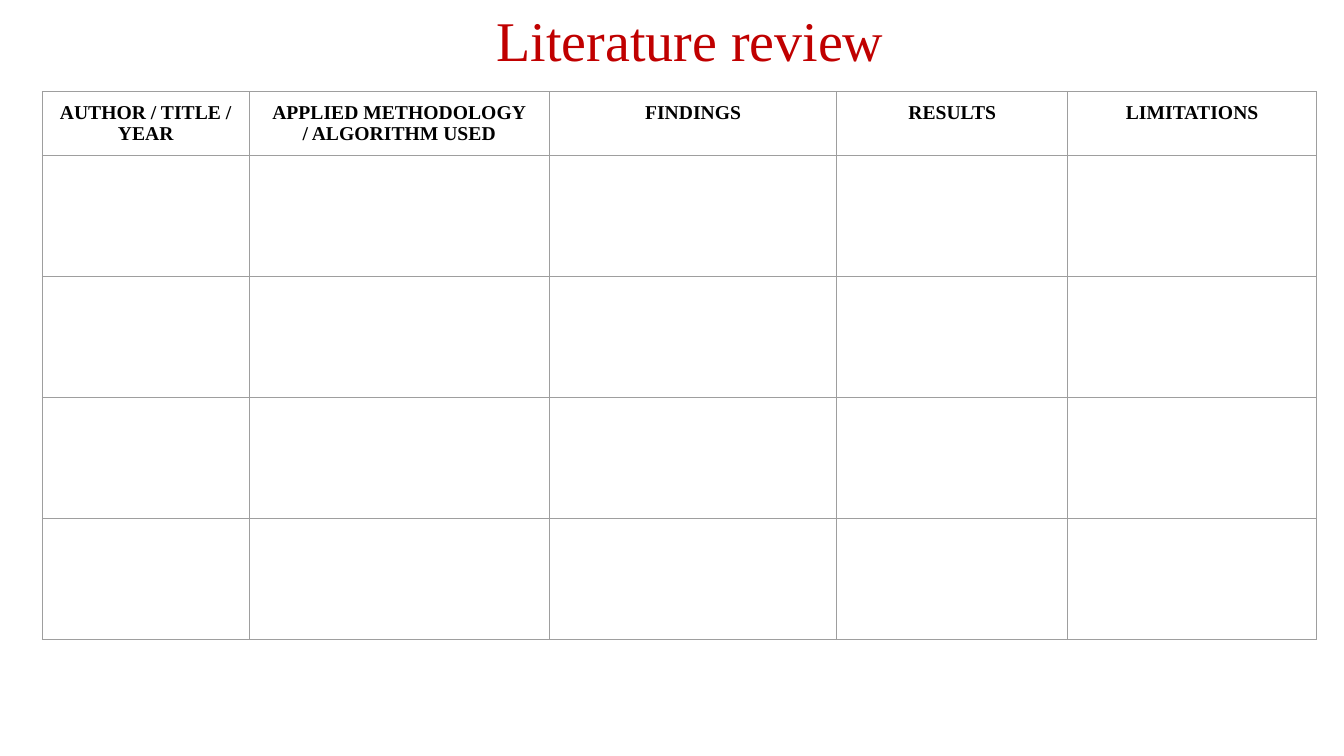
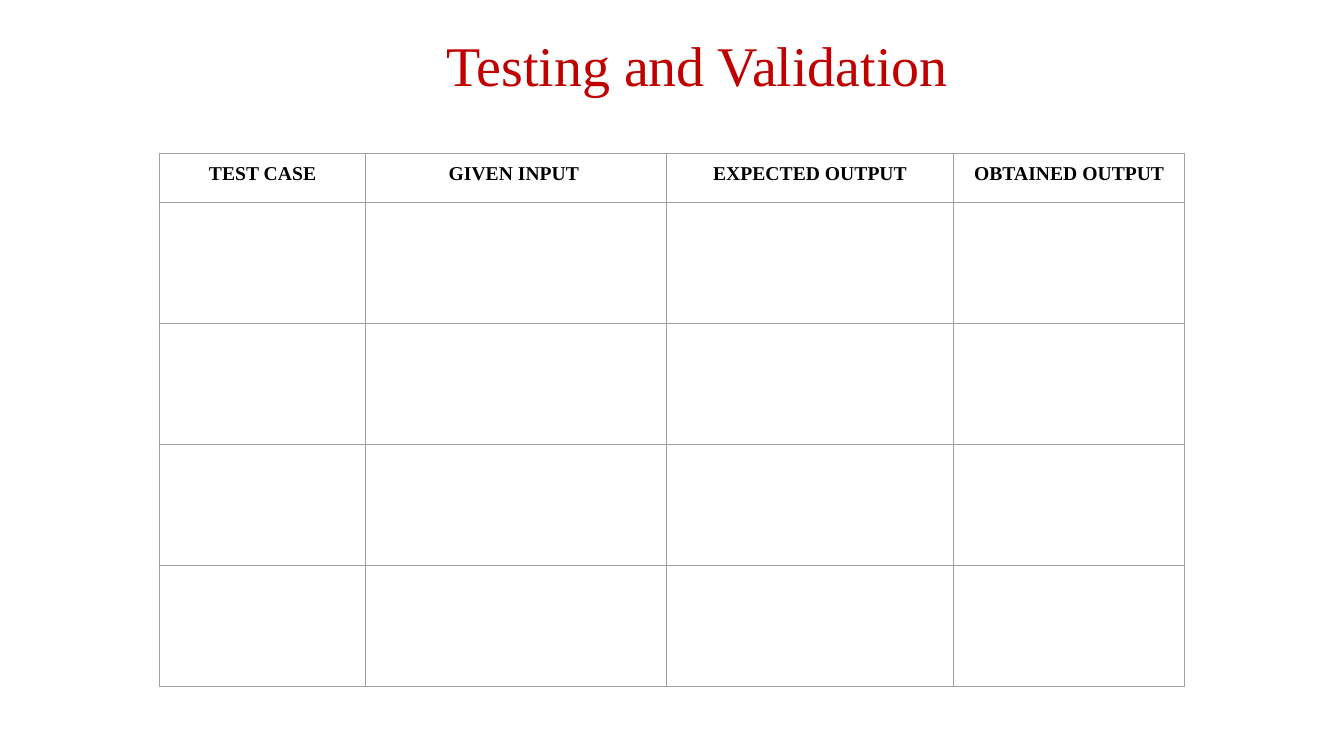
from lxml import etree
from pptx import Presentation
from pptx.dml.color import RGBColor
from pptx.enum.text import MSO_ANCHOR, MSO_AUTO_SIZE, PP_ALIGN
from pptx.oxml.ns import qn
from pptx.util import Inches, Pt

# Shared look
COLORS = {"title": "C00000", "header": "000000", "grid": "9E9E9E"}
FONT = "Times New Roman"
TITLE_HEIGHT = 0.74
COLUMN_WIDTHS = [2.05, 2.98, 2.85, 2.29, 2.47]
ENTRY_ROWS, ENTRY_HEIGHT = 4, 1.2
CELL_MARGIN = Inches(0.1)

# Content: title, title top, table left and top, header height, headings
SECTIONS = [
    ("Literature review ", 0.08, 0.42, 0.91, 0.62,
     ["AUTHOR / TITLE / YEAR", "APPLIED METHODOLOGY\n/ ALGORITHM USED",
      "FINDINGS", "RESULTS", "LIMITATIONS"]),
    ("Testing and Validation", 0.33, 1.58, 1.52, 0.49,
     ["TEST CASE", "GIVEN INPUT ", "EXPECTED OUTPUT", "OBTAINED OUTPUT"]),
]


def style_text(frame, size, color, bold=False):
    for paragraph in frame.paragraphs:
        paragraph.alignment = PP_ALIGN.CENTER
        for run in paragraph.runs:
            run.font.name = FONT
            run.font.size = Pt(size)
            run.font.bold = bold
            run.font.color.rgb = RGBColor.from_string(COLORS[color])


def outline_cell(cell):
    properties = cell._tc.get_or_add_tcPr()
    for side in ("a:lnL", "a:lnR", "a:lnT", "a:lnB"):
        line = etree.SubElement(properties, qn(side), w=str(Pt(0.75)))
        fill = etree.SubElement(line, qn("a:solidFill"))
        etree.SubElement(fill, qn("a:srgbClr"), val=COLORS["grid"])
    cell.fill.background()


prs = Presentation()
prs.slide_width, prs.slide_height = Inches(13.33), Inches(7.5)
title_only = prs.slide_layouts[5]

for heading, title_top, left, top, header_height, columns in SECTIONS:
    slide = prs.slides.add_slide(title_only)

    # Title, indented by half an inch
    title = slide.shapes.title
    title.left, title.top = 0, Inches(title_top)
    title.width, title.height = prs.slide_width, Inches(TITLE_HEIGHT)
    frame = title.text_frame
    frame.text = heading
    frame.auto_size = MSO_AUTO_SIZE.NONE
    frame.vertical_anchor = MSO_ANCHOR.TOP
    frame.margin_left = Inches(0.6)
    frame.paragraphs[0].line_spacing = 0.9
    frame.paragraphs[0].space_before = Pt(10)
    style_text(frame, 40, "title")

    # Table with one header row and blank entry rows
    widths = COLUMN_WIDTHS[:len(columns)]
    heights = [header_height] + [ENTRY_HEIGHT] * ENTRY_ROWS
    table = slide.shapes.add_table(
        len(heights), len(columns), Inches(left), Inches(top),
        Inches(sum(widths)), Inches(sum(heights))).table
    table.first_row = table.horz_banding = False
    for column, width in zip(table.columns, widths):
        column.width = Inches(width)
    for row, height in zip(table.rows, heights):
        row.height = Inches(height)
    for cell in table.iter_cells():
        cell.margin_left = cell.margin_right = CELL_MARGIN
        cell.margin_top = cell.margin_bottom = CELL_MARGIN
        outline_cell(cell)
    for cell, label in zip(table.rows[0].cells, columns):
        cell.text_frame.text = label
        style_text(cell.text_frame, 14, "header", bold=True)

prs.save("out.pptx")
